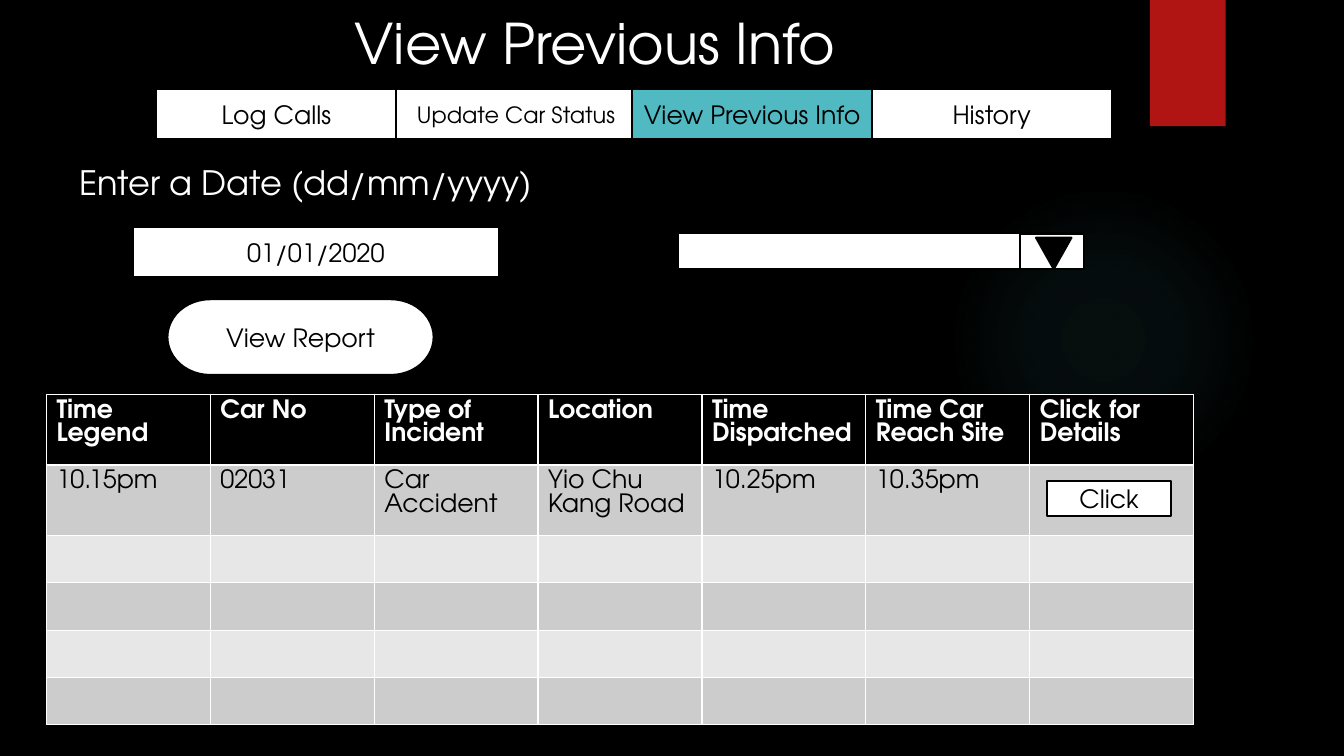
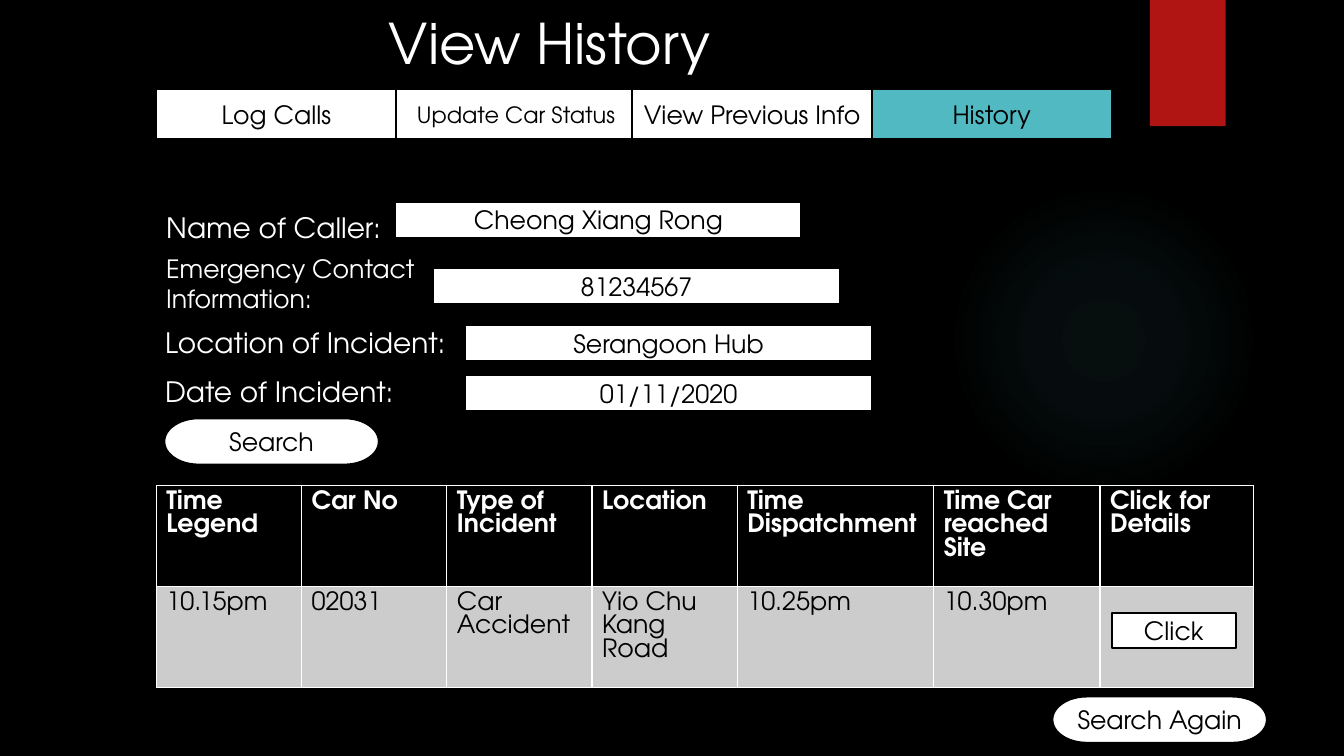
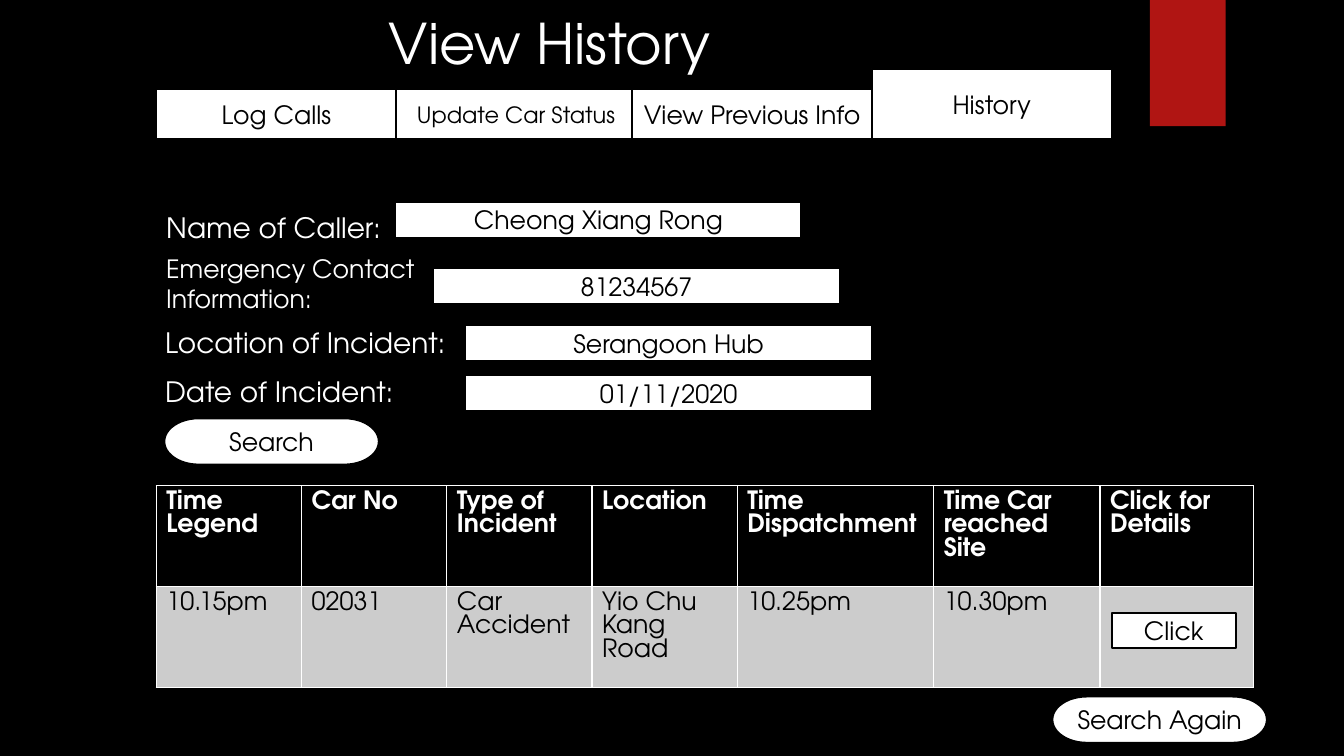
from pptx import Presentation
from pptx.dml.color import RGBColor
from pptx.enum.shapes import MSO_SHAPE
from pptx.enum.text import MSO_ANCHOR, MSO_AUTO_SIZE, PP_ALIGN
from pptx.oxml import parse_xml
from pptx.oxml.ns import nsdecls
from pptx.util import Cm, Pt

FONT = "TeX Gyre Adventor"
HUES = {
    "black": "000000",
    "white": "FFFFFF",
    "teal": "50B9C1",
    "red": "B01513",
    "dark": "CCCCCC",
    "light": "E7E7E7",
}
TABS = [
    ("Log Calls", 3.94, 18),
    ("Update Car Status", 9.98, 16),
    ("View Previous Info", 15.93, 18),
    ("History", 21.97, 18),
]
LABELS = [
    ("Name of Caller:", 3.94, 5.18, 8.76, 1.12, 20),
    ("Emergency Contact Information:", 3.94, 6.25, 8.41, 1.8, 18),
    ("Location of Incident:", 3.91, 8.08, 8.76, 1.12, 20),
    ("Date of Incident:", 3.91, 9.32, 8.76, 1.12, 20),
]
FIELDS = [
    ("Cheong Xiang Rong", 9.96, 5.08),
    ("81234567", 10.92, 6.76),
    ("Serangoon Hub", 11.73, 8.2),
    ("01/11/2020", 11.73, 9.45),
]
REPORT = [
    ["Time Legend", "Car No", "Type of Incident", "Location",
     "Time Dispatched", "Time Car Reach Site", "Click for Details"],
    ["10.15pm", "02031", "Car Accident", "Yio Chu Kang Road",
     "10.25pm", "10.35pm", ""],
] + [[""] * 7] * 4
PAST = [
    ["Time Legend", "Car No", "Type of Incident", "Location",
     "Time Dispatchment", "Time Car reached Site", "Click for Details"],
    ["10.15pm", "02031", "Car Accident", "Yio Chu Kang Road",
     "10.25pm", "10.30pm", ""],
]


def tint(name):
    return RGBColor.from_string(HUES[name])


class Deck:
    """Holds the shared style and the slide being drawn."""

    def __init__(self):
        self.show = Presentation()
        self.show.slide_width = Cm(33.87)
        self.show.slide_height = Cm(19.05)
        self.slide = None

    def start(self, glow=True):
        self.slide = self.show.slides.add_slide(self.show.slide_layouts[6])
        fill = self.slide.background.fill
        fill.solid()
        fill.fore_color.rgb = tint("black")
        if glow:
            self.glow()
        self.shape(28.98, 0, 1.91, 3.18, hue="red", edge=False)

    def style(self, para, size, hue, bold=False):
        font = para.font
        font.name, font.size, font.bold = FONT, Pt(size), bold
        font.color.rgb = tint(hue)

    def shape(self, left, top, width, height, text="", hue="white",
              size=18, kind=MSO_SHAPE.RECTANGLE, edge=True):
        shape = self.slide.shapes.add_shape(
            kind, Cm(left), Cm(top), Cm(width), Cm(height))
        shape.shadow.inherit = False
        shape.fill.solid()
        shape.fill.fore_color.rgb = tint(hue)
        if edge:
            shape.line.color.rgb = tint("black")
            shape.line.width = Pt(1.5)
        else:
            shape.line.fill.background()
        if text:
            frame = shape.text_frame
            frame.text = text
            frame.vertical_anchor = MSO_ANCHOR.MIDDLE
            para = frame.paragraphs[0]
            para.alignment = PP_ALIGN.CENTER
            self.style(para, size, "black")
        return shape

    def glow(self):
        disc = self.shape(23.9, 4.65, 7.82, 7.82,
                          kind=MSO_SHAPE.OVAL, edge=False)
        disc.fill.background()
        stops = "".join(
            f'<a:gs pos="{pos}000"><a:srgbClr val="{HUES["teal"]}">'
            f'<a:alpha val="{alpha}000"/></a:srgbClr></a:gs>'
            for pos, alpha in [(0, 7), (36, 6), (69, 0)])
        grad = parse_xml(
            f'<a:gradFill {nsdecls("a")}><a:gsLst>{stops}</a:gsLst>'
            '<a:path path="circle"><a:fillToRect l="50000" t="50000" '
            'r="50000" b="50000"/></a:path></a:gradFill>')
        props = disc._element.spPr
        props.replace(props.find(
            "{http://schemas.openxmlformats.org/drawingml/2006/main}noFill"),
            grad)

    def label(self, text, left, top, width, height, size):
        box = self.slide.shapes.add_textbox(
            Cm(left), Cm(top), Cm(width), Cm(height))
        frame = box.text_frame
        frame.word_wrap = True
        frame.auto_size = MSO_AUTO_SIZE.SHAPE_TO_FIT_TEXT
        frame.text = text
        self.style(frame.paragraphs[0], size, "white")

    def title(self, text, left):
        self.label(text, left, 0.1, 13.89, 1.96, 40)

    def tabs(self, chosen="", tall=""):
        for text, left, size in TABS:
            rise = 0.51 if text == tall else 0
            self.shape(left, 2.24 - rise, 6.05, 1.27 + rise, text,
                       "teal" if text == chosen else "white", size)

    def field(self, text, left, top):
        self.shape(left, top, 10.24, 0.91, text)

    def pill(self, text, left, top, width=5.41, height=1.17):
        self.shape(left, top, width, height, text,
                   kind=MSO_SHAPE.FLOWCHART_TERMINATOR)

    def click(self, left, top):
        self.shape(left, top, 3.12, 0.89, "Click")

    def table(self, rows, left, top, widths, height):
        grid = self.slide.shapes.add_table(
            len(rows), len(widths), Cm(left), Cm(top),
            Cm(sum(widths)), Cm(height * len(rows))).table
        for col, width in zip(grid.columns, widths):
            col.width = Cm(width)
        for i, row in enumerate(rows):
            grid.rows[i].height = Cm(height)
            head = i == 0
            hue = "black" if head else "dark" if i % 2 else "light"
            for j, text in enumerate(row):
                cell = grid.cell(i, j)
                cell.fill.solid()
                cell.fill.fore_color.rgb = tint(hue)
                if text:
                    cell.text = text
                self.style(cell.text_frame.paragraphs[0], 18,
                           "white" if head else "black", head)

    def picker(self):
        self.field("", 17.09, 5.87)
        self.shape(25.7, 5.89, 1.63, 0.89)
        arrow = self.shape(26.11, 5.99, 0.89, 0.79, hue="black",
                           kind=MSO_SHAPE.ISOSCELES_TRIANGLE)
        arrow.rotation = 180

    def report(self):
        self.start()
        self.title("View Previous Info", 8.69)
        self.tabs(chosen="View Previous Info")
        self.shape(3.35, 5.72, 9.22, 1.27, "01/01/2020")
        self.label("Enter a Date (dd/mm/yyyy)", 1.75, 3.96, 13.89, 1.27, 24)
        self.picker()
        self.pill("View Report", 4.22, 7.54, 6.71, 1.91)
        self.table(REPORT, 1.17, 9.94, [4.13] * 7, 1.19)
        self.click(26.39, 12.12)

    def history(self, raised=False):
        self.start(glow=not raised)
        if raised:
            self.shape(0, 3.51, 33.87, 15.54, hue="black")
        self.title("View History", 9.55)
        if raised:
            self.tabs(tall="History")
        else:
            self.tabs(chosen="History")
        for item in LABELS:
            self.label(*item)
        for item in FIELDS:
            self.field(*item)
        self.pill("Search", 4.14, 10.54)
        self.table(PAST, 3.94, 12.24, [3.66] * 4 + [4.95, 4.19, 3.86], 2.03)
        self.click(28.02, 15.44)
        self.pill("Search Again", 26.52, 17.55)


def main():
    deck = Deck()
    deck.report()
    deck.history()
    deck.history(raised=True)
    deck.show.save("out.pptx")


if __name__ == "__main__":
    main()
